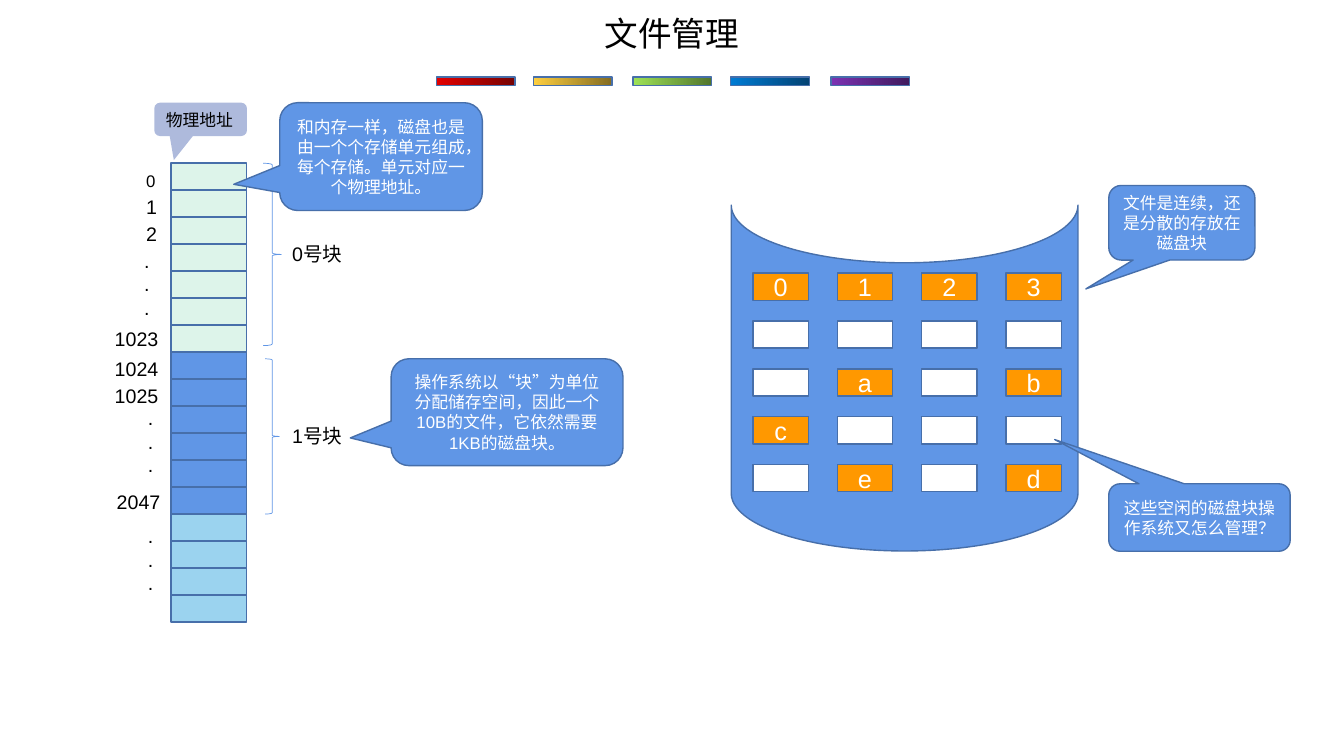
"""Build the file management slide: memory column, block braces and disk drum."""
import dataclasses

import pptx
import pptx.dml.color
import pptx.enum.shapes
import pptx.enum.text
import pptx.util

Pt = pptx.util.Pt
SHAPE = pptx.enum.shapes.MSO_SHAPE
ALIGN = pptx.enum.text.PP_ALIGN
ANCHOR = pptx.enum.text.MSO_ANCHOR
rgb = pptx.dml.color.RGBColor.from_string


@dataclasses.dataclass(frozen=True)
class Theme:
    font: str = "Arial"
    title: int = 24
    block: int = 18
    label: int = 14
    note: int = 12
    black: str = "000000"
    white: str = "FFFFFF"
    blue: str = "6096E6"
    outline: str = "476FAA"
    mint: str = "DDF4EA"
    sky: str = "9BD3EF"
    lavender: str = "AEBADC"
    orange: str = "FF9800"


theme = Theme()


def write(box, text, size, color, align=ALIGN.CENTER, anchor=ANCHOR.MIDDLE):
    frame = box.text_frame
    frame.word_wrap = True
    frame.vertical_anchor = anchor
    frame.text = text
    paragraph = frame.paragraphs[0]
    paragraph.alignment = align
    paragraph.font.name = theme.font
    paragraph.font.size = Pt(size)
    paragraph.font.color.rgb = rgb(color)


def add_figure(kind, place, fill=None, outline=theme.outline, weight=1, adjust=()):
    figure = page.shapes.add_shape(kind, *map(Pt, place))
    figure.shadow.inherit = False
    if fill:
        figure.fill.solid()
        figure.fill.fore_color.rgb = rgb(fill)
    else:
        figure.fill.background()
    if outline:
        figure.line.color.rgb = rgb(outline)
        figure.line.width = Pt(weight)
    else:
        figure.line.fill.background()
    for index, value in enumerate(adjust):
        figure.adjustments[index] = value
    return figure


deck = pptx.Presentation()
deck.slide_width, deck.slide_height = Pt(960), Pt(540)
page = deck.slides.add_slide(deck.slide_layouts[5])

title = page.shapes.title
title.left, title.top, title.width, title.height = map(Pt, (424.8, 5.8, 110.2, 36))
write(title, "文件管理", theme.title, theme.black)
title.text_frame.margin_left = title.text_frame.margin_right = 0

bars = [
    (311.8, "E30000", "760303"),
    (380.9, "FECF40", "846C21"),
    (452.2, "9EE256", "52762D"),
    (522, "007BD3", "034373"),
    (593.6, "7B32B2", "401A5D"),
]
for left, start, end in bars:
    bar = add_figure(SHAPE.RECTANGLE, (left, 54.9, 56.2, 6))
    bar.fill.gradient()
    bar.fill.gradient_angle = 0
    for stop, color in zip(bar.fill.gradient_stops, (start, end)):
        stop.color.rgb = rgb(color)

cell_fills = [theme.mint] * 7 + [theme.blue] * 6 + [theme.sky] * 4
for row, fill in enumerate(cell_fills):
    add_figure(SHAPE.RECTANGLE, (122.2, 116.5 + 19.28 * row, 54, 19.28), fill)

labels = [
    ("0", 97.2, 118.4, 22.3, theme.note),
    ("1", 97.2, 135.4, 22.3, theme.label),
    ("2", 97.2, 154.8, 22.3, theme.label),
    ("1023", 74.9, 229.7, 47.5, theme.label),
    ("1024", 74.9, 251.3, 47.5, theme.label),
    ("1025", 74.9, 270.7, 47.5, theme.label),
    ("2047", 76.3, 346.3, 47.5, theme.label),
    ("0号块", 201.6, 169.2, 50.4, theme.label),
    ("1号块", 201.6, 299.5, 50.4, theme.label),
]
for text, left, top, width, size in labels:
    label = page.shapes.add_textbox(Pt(left), Pt(top), Pt(width), Pt(24.5))
    write(label, text, size, theme.black, ALIGN.LEFT, ANCHOR.TOP)

for left, top in [(103, 174.2), (105.6, 286.6), (105.6, 370.8)]:
    dots = page.shapes.add_textbox(Pt(left), Pt(top), Pt(8.6), Pt(58.3))
    write(dots, ". . .", theme.label, theme.black, ALIGN.LEFT, ANCHOR.TOP)
    dots.text_frame.margin_left = dots.text_frame.margin_right = 0

for place in [(187.9, 116.6, 13, 130.3), (189.4, 256.3, 10.1, 110.9)]:
    add_figure(SHAPE.RIGHT_BRACE, place, outline=theme.blue, weight=0.5)

drum = add_figure(SHAPE.FLOWCHART_STORED_DATA, (522.7, 146.2, 247, 247.7), theme.blue)
drum.rotation = 270

for row, names in enumerate(["0123", "    ", " a b", "c   ", " e d"]):
    for column, name in enumerate(names):
        used = name != " "
        place = (537.8 + 60.25 * column, 195.1 + 34.2 * row, 39.6, 19.4)
        block = add_figure(SHAPE.RECTANGLE, place, theme.orange if used else theme.white)
        if used:
            write(block, name, theme.block, theme.white)

callouts = [
    ("和内存一样，磁盘也是由一个个存储单元组成，每个存储。单元对应一个物理地址。",
     (199.8, 73.4, 144.7, 77), (-0.727, 0.257)),
    ("操作系统以“块”为单位分配储存空间，因此一个10B的文件，它依然需要1KB的磁盘块。",
     (279.4, 256.3, 165.6, 76.3), (-0.676, 0.241)),
    ("文件是连续，还是分散的存放在磁盘块", (792, 132.5, 104.4, 53.3), (-0.657, 0.887)),
    ("这些空闲的磁盘块操作系统又怎么管理？", (792, 345.6, 129.6, 48.2), (-0.798, -1.156)),
]
for text, place, tip in callouts:
    callout = add_figure(SHAPE.ROUNDED_RECTANGULAR_CALLOUT, place, theme.blue, adjust=tip)
    write(callout, text, theme.note, theme.white)

address = add_figure(SHAPE.ROUNDED_RECTANGULAR_CALLOUT, (110.2, 73.4, 66.2, 23.8),
                     theme.lavender, outline=None, adjust=(-0.289, 1.222))
write(address, "物理地址", theme.note, theme.black, ALIGN.LEFT)

deck.save("out.pptx")
